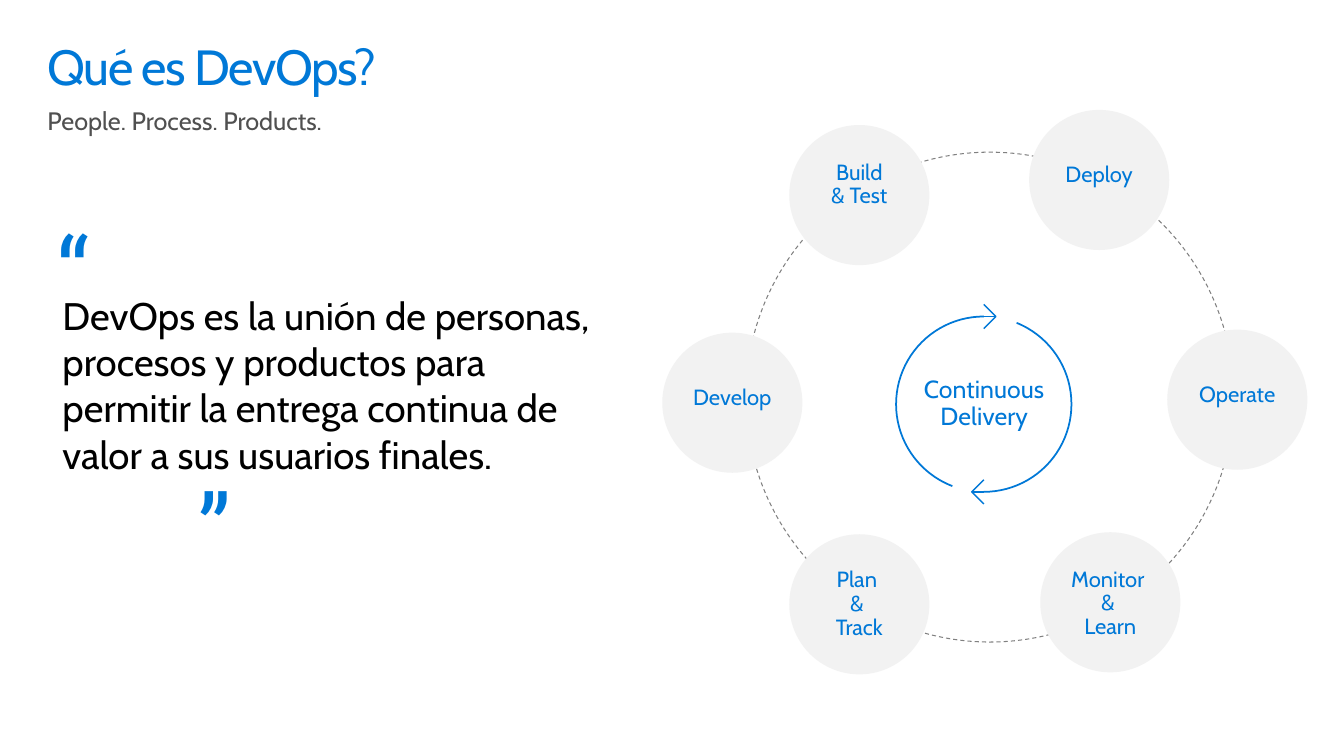
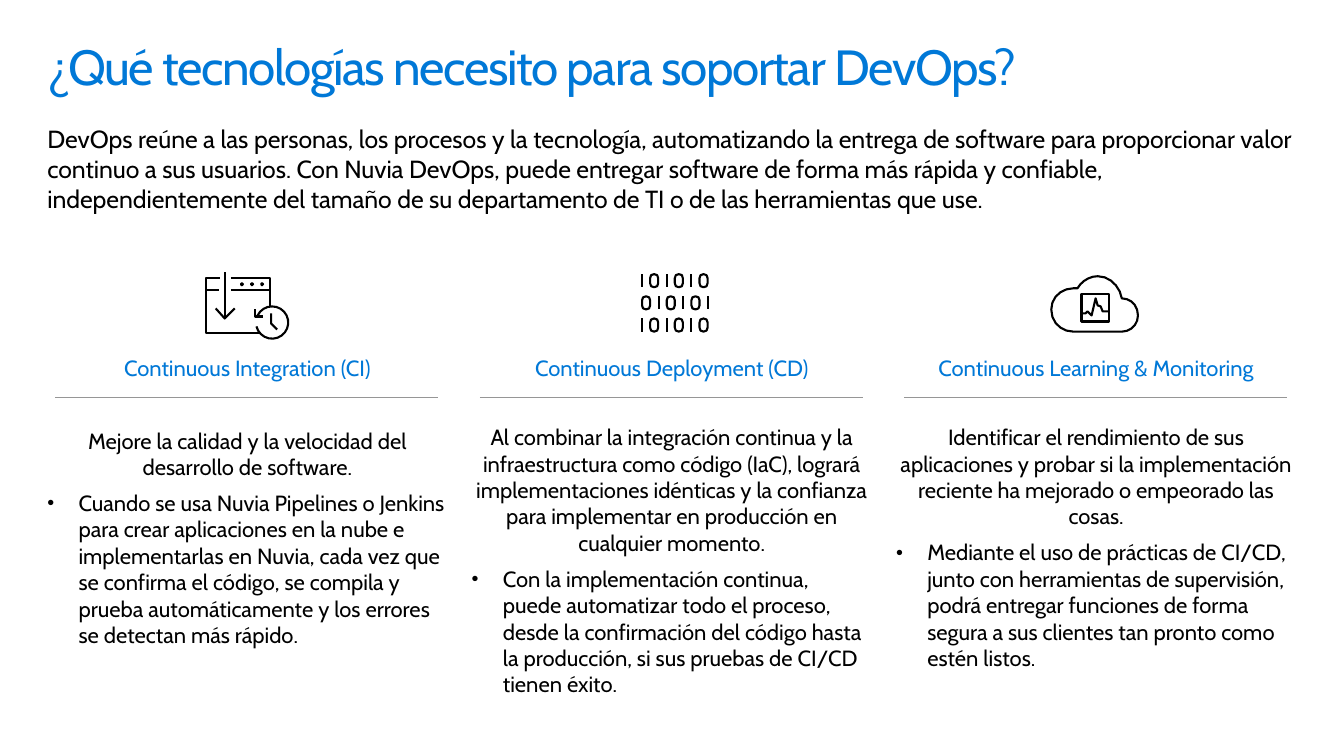
"""Build two slides that introduce DevOps and the practices behind it."""
from math import cos, radians, sin

from lxml import etree
from pptx import Presentation
from pptx.dml.color import RGBColor
from pptx.enum.dml import MSO_LINE
from pptx.enum.shapes import MSO_CONNECTOR, MSO_SHAPE
from pptx.enum.text import MSO_ANCHOR, PP_ALIGN
from pptx.oxml.ns import qn
from pptx.util import Pt

PX = 9144
H = 750
LEFT, FULL = 47, 1240
FONT, QUOTE_FONT = "Cabin", "Roboto Slab"
C = {"blue": "0078D7", "grey": "505050", "black": "000000", "white": "FFFFFF",
     "node": "F2F2F2", "ring": "808080", "rule": "969696"}
CENTER, ALIGN_LEFT = PP_ALIGN.CENTER, PP_ALIGN.LEFT
TOP, MIDDLE = MSO_ANCHOR.TOP, MSO_ANCHOR.MIDDLE
OVAL, ARC = MSO_SHAPE.OVAL, MSO_SHAPE.ARC
STRAIGHT, DASH = MSO_CONNECTOR.STRAIGHT, MSO_LINE.DASH

NODES = [("Build\n& Test", 126, 15, 20), ("Deploy", 364, 0, 9),
         ("Operate", 501, 218, 8), ("Monitor \n& \nLearn", 375, 419, -3),
         ("Plan \n& \nTrack", 126, 421, 0), ("Develop", 0, 221, 8)]
ZERO = [(0, 4), (1, 1), (4, 0), (7, 1), (8, 4), (8, 9), (7, 12), (4, 13),
        (1, 12), (0, 9), (0, 4)]
ONE = [(0, 0), (0, 13)]


def px(n):
    """Turn px into EMU."""
    return round(n * PX)


def rgb(name):
    """Look up a palette colour."""
    return RGBColor.from_string(C[name])


def style(sp, fill=None, line=None, width=1.5, dash=None):
    """Set the fill and outline of a shape."""
    sp.shadow.inherit = False
    if fill:
        sp.fill.solid()
        sp.fill.fore_color.rgb = rgb(fill)
    else:
        sp.fill.background()
    if line:
        sp.line.color.rgb = rgb(line)
        sp.line.width = Pt(width)
        if dash:
            sp.line.dash_style = dash
    else:
        sp.line.fill.background()
    return sp


def shape(s, kind, x, y, w, h, **fmt):
    """Add a preset shape."""
    return style(s.shapes.add_shape(kind, px(x), px(y), px(w), px(h)), **fmt)


def arc(s, cx, cy, r, start, end, **fmt):
    """Add a circular arc running clockwise between two angles."""
    sp = shape(s, ARC, cx - r, cy - r, 2 * r, 2 * r, **fmt)
    sp.adjustments[0] = start * 0.6
    sp.adjustments[1] = end * 0.6


def line(s, x1, y1, x2, y2, color, width):
    """Add a straight line."""
    c = s.shapes.add_connector(STRAIGHT, px(x1), px(y1), px(x2), px(y2))
    c.line.color.rgb = rgb(color)
    c.line.width = Pt(width)
    etree.SubElement(c._element.spPr, qn("a:effectLst"))


def outline(s, x, y, paths, **fmt):
    """Add one freeform of several polylines, offset by x and y."""
    pts = [[(px(x + a), px(y + b)) for a, b in path] for path in paths]
    fb = s.shapes.build_freeform(*pts[0][0], scale=1.0)
    for i, path in enumerate(pts):
        if i:
            fb.move_to(*path[0])
        fb.add_line_segments(path[1:], close=path[0] == path[-1])
    return style(fb.convert_to_shape(), **fmt)


def bezier(p0, p1, p2, p3, n=5):
    """Return points along a cubic curve, without its first point."""
    def at(t, k):
        """Give one coordinate at t."""
        u = 1 - t
        return (u ** 3 * p0[k] + 3 * u * u * t * p1[k]
                + 3 * u * t * t * p2[k] + t ** 3 * p3[k])
    return [(at(i / n, 0), at(i / n, 1)) for i in range(1, n + 1)]


def frame(sp, ins=(0, 0, 0, 0), anchor=TOP, wrap=True):
    """Set up the text frame of a shape."""
    tf = sp.text_frame
    tf.word_wrap = wrap
    tf.vertical_anchor = anchor
    tf.margin_left, tf.margin_top, tf.margin_right, tf.margin_bottom = map(px, ins)
    return tf


def box(s, x, y, w, h, **fmt):
    """Add a text box and return its frame."""
    return frame(s.shapes.add_textbox(px(x), px(y), px(w), px(h)), **fmt)


def write(tf, text, size=15.69, color="black", font=FONT, align=ALIGN_LEFT,
          after=0, spacing=None, track=None, bullet=False):
    """Write one paragraph, with line breaks at newlines."""
    p = tf.paragraphs[0]
    if p.runs:
        p = tf.add_paragraph()
    p.alignment = align
    p.space_after = Pt(after)
    if spacing:
        p.line_spacing = spacing
    if bullet:
        pPr = p._p.get_or_add_pPr()
        pPr.set("marL", str(px(31)))
        pPr.set("indent", str(px(-31)))
        for tag, key, val in (("buSzPct", "val", "90000"),
                              ("buFont", "typeface", "Arial"),
                              ("buChar", "char", "•")):
            etree.SubElement(pPr, qn("a:" + tag)).set(key, val)
    for i, part in enumerate(text.split("\n")):
        if i:
            p.add_line_break()
        r = p.add_run()
        r.text = part
        r.font.name = font
        r.font.size = Pt(size)
        r.font.color.rgb = rgb(color)
        if track is not None:
            r._r.get_or_add_rPr().set("spc", str(round(track * 100)))


def titled_slide(prs, title):
    """Add a blank slide with the shared title."""
    s = prs.slides.add_slide(prs.slide_layouts[6])
    tf = box(s, LEFT, 24, FULL, 81, ins=(0, 18, 0, 0))
    write(tf, title, size=35.3, color="blue", spacing=0.9, track=-1)
    return s


def quote(s, x, y, w, h, text):
    """Place a quotation between large quote marks."""
    write(box(s, x, y, w, h, ins=(15, 83, 20, 16)), text, size=27.45)
    for mark, dx, dy in (("“", 0, 0), ("”", 140, 255)):
        tf = box(s, x + dx, y + dy, 84, 118, ins=(10, 5, 10, 5), wrap=False)
        write(tf, mark, size=62.7, color="blue", font=QUOTE_FONT, track=-0.1)


def hub(s, cx, cy, r, text):
    """Draw two circling arrows around a label."""
    tf = box(s, cx - 90, cy - 61, 181, 122, anchor=MIDDLE)
    write(tf, text, size=17.65, color="blue", align=CENTER, spacing=0.9, track=0.1)
    for start, end, d in ((292, 90, -1), (111, 270, 1)):
        arc(s, cx, cy, r, start, end, line="blue", width=1.25)
        y = cy - r * d
        outline(s, cx, y, [[(0, -12), (12 * d, 0), (0, 12)]], line="blue", width=1)
        line(s, cx, y, cx + 12 * d, y, "blue", 1)


def cycle(s, x, y):
    """Draw the delivery cycle with its nodes on a dashed ring."""
    shape(s, OVAL, x + 83, y + 42, 484, 486, line="ring", width=0.75, dash=DASH)
    hub(s, x + 319, y + 292, 87, "Continuous\nDelivery")
    for label, dx, dy, lift in NODES:
        sp = shape(s, OVAL, x + dx, y + dy, 139, 139, fill="node")
        tf = frame(sp, ins=(0, max(-lift, 0), 0, max(lift, 0)), anchor=MIDDLE)
        write(tf, label, color="blue", align=CENTER, spacing=0.9)


def integration_icon(s, x, y):
    """Draw a window with a down arrow and a clock."""
    dots = [[(dx, 11), (dx + 1, 12), (dx, 13), (dx - 1, 12), (dx, 11)]
            for dx in (193, 203, 213)]
    outline(s, x, y, [
        [(182, 6), (221, 6), (221, 60), (157, 60), (157, 6), (171, 6)],
        [(182, 18), (221, 18)], [(157, 18), (170, 18)], *dots,
        [(167, 36), (176, 46), (186, 36)], [(176, 0), (176, 46)],
    ], fill="white", line="black")
    rim = [(223 + 16 * cos(radians(a)), 50 + 16 * sin(radians(a)))
           for a in range(166, -161, -16)]
    outline(s, x, y, [[(228, 57), (222, 51), (222, 41)],
                      [(206, 37), (206, 44), (214, 44)], rim],
            fill="white", line="black")


def deployment_icon(s, x, y):
    """Draw three rows of binary digits."""
    paths = []
    for row, digits in enumerate(("101010", "010101", "101010")):
        dx, dy = 169, 2 + 22 * row
        for digit in digits:
            glyph, advance = (ONE, 8) if digit == "1" else (ZERO, 16.5)
            paths.append([(dx + a, dy + b) for a, b in glyph])
            dx += advance
    outline(s, x, y, paths, line="black")


def monitoring_icon(s, x, y):
    """Draw a cloud that holds a pulse screen."""
    cloud = [(224, 59), (176, 59)]
    for curve in (((164, 59), (154, 50), (154, 37)),
                  ((154, 25), (164, 16), (176, 16))):
        cloud += bezier(cloud[-1], *curve)
    cloud.append((180, 16))
    for curve in (((184, 9), (192, 4), (200, 4)),
                  ((212, 4), (222, 14), (224, 26)),
                  ((233, 26), (240, 33), (240, 43)),
                  ((240, 52), (233, 59), (224, 59))):
        cloud += bezier(cloud[-1], *curve)
    outline(s, x, y, [cloud], line="black")
    outline(s, x, y, [
        [(184, 49), (184, 22), (211, 22), (211, 49), (184, 49)],
        [(211, 39), (205, 39), (203, 34), (200, 33), (198, 26),
         (194, 43), (190, 39), (188, 41), (184, 41)]], line="black")


def practice(s, x, y, w, h, icon, head, lead, detail, gap):
    """Place one practice: icon, heading, rule and text."""
    icon(s, x, y)
    tf = box(s, x, y + 82, w, h - 82)
    write(tf, head, color="blue", align=CENTER, after=gap)
    write(tf, lead, align=CENTER, after=6.9)
    write(tf, detail, bullet=True)
    line(s, x + 8, y + 124, x + w - 9, y + 124, "rule", 0.75)


PRACTICES = [
    (integration_icon, "Continuous Integration (CI)",
     "Mejore la calidad y la velocidad del desarrollo de software.",
     "Cuando se usa Nuvia Pipelines o Jenkins para crear aplicaciones en la nube "
     "e implementarlas en Nuvia, cada vez que se confirma el código, se compila y "
     "prueba automáticamente y los errores se detectan más rápido.", 32.8),
    (deployment_icon, "Continuous Deployment (CD)",
     "Al combinar la integración continua y la infraestructura como código (IaC), "
     "logrará implementaciones idénticas y la confianza para implementar en "
     "producción en cualquier momento.",
     "Con la implementación continua, puede automatizar todo el proceso, desde la "
     "confirmación del código hasta la producción, si sus pruebas de CI/CD tienen "
     "éxito.", 30.4),
    (monitoring_icon, "Continuous Learning & Monitoring",
     "Identificar el rendimiento de sus aplicaciones y probar si la implementación "
     "reciente ha mejorado o empeorado las cosas.",
     "Mediante el uso de prácticas de CI/CD, junto con herramientas de supervisión, "
     "podrá entregar funciones de forma segura a sus clientes tan pronto como estén "
     "listos.", 30.4),
]


def definition_slide(prs):
    """Build the slide that defines DevOps."""
    s = titled_slide(prs, "Qué es DevOps?")
    write(box(s, LEFT, 104, FULL, 30), "People. Process. Products.",
          size=18, color="grey")
    quote(s, LEFT, 207, 580, 425,
          "DevOps es la unión de personas, procesos y productos para permitir la "
          "entrega continua de valor a sus usuarios finales.")
    cycle(s, 657, 109)


def technology_slide(prs):
    """Build the slide with the three practices."""
    s = titled_slide(prs, "¿Qué tecnologías necesito para soportar DevOps?")
    write(box(s, LEFT, 123, FULL, 89),
          "DevOps reúne a las personas, los procesos y la tecnología, automatizando "
          "la entrega de software para proporcionar valor continuo a sus usuarios. "
          "Con Nuvia DevOps, puede entregar software de forma más rápida y confiable, "
          "independientemente del tamaño de su departamento de TI o de las "
          "herramientas que use.", size=17.65)
    w, gap = 397, 24
    for i, item in enumerate(PRACTICES):
        practice(s, LEFT + i * (w + gap), 270, w, 430, *item)


def main():
    """Build and save the presentation."""
    prs = Presentation()
    prs.slide_width, prs.slide_height = px(H * 16 / 9), px(H)
    definition_slide(prs)
    technology_slide(prs)
    prs.save("out.pptx")


if __name__ == "__main__":
    main()
